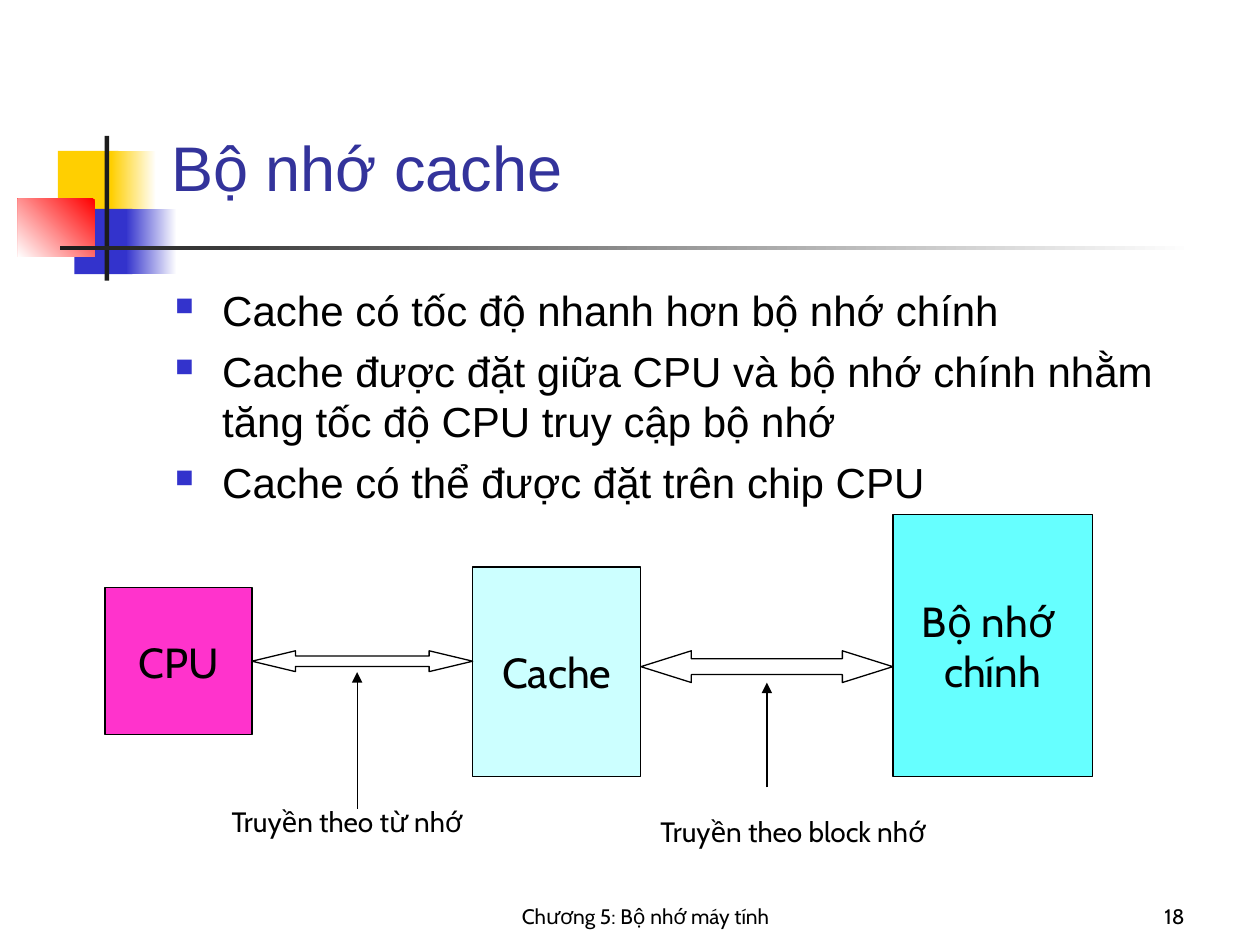
import pptx
import pptx.dml.color
import pptx.enum.shapes
import pptx.enum.text
import pptx.oxml
import pptx.oxml.ns
import pptx.util

Cm = pptx.util.Cm
Pt = pptx.util.Pt
RGBColor = pptx.dml.color.RGBColor
SHAPES = pptx.enum.shapes.MSO_SHAPE
ALIGN = pptx.enum.text.PP_ALIGN
ANCHOR = pptx.enum.text.MSO_ANCHOR

BLACK = RGBColor(0x00, 0x00, 0x00)
WHITE = RGBColor(0xFF, 0xFF, 0xFF)
YELLOW = RGBColor(0xFF, 0xCF, 0x01)
BLUE = RGBColor(0x33, 0x33, 0xCC)
RED = RGBColor(0xFF, 0x00, 0x00)
CHARCOAL = RGBColor(0x1C, 0x1C, 0x1C)
TITLE_BLUE = RGBColor(0x33, 0x33, 0x9B)
MAGENTA = RGBColor(0xFF, 0x33, 0xCC)
PALE_CYAN = RGBColor(0xCC, 0xFF, 0xFF)
CYAN = RGBColor(0x66, 0xFF, 0xFF)

TITLE_FONT = {"name": "Arial", "size": Pt(36), "color": TITLE_BLUE}
BODY_FONT = {"name": "Arial", "size": Pt(24), "color": BLACK}
BLOCK_FONT = {"name": "Cabin", "size": Pt(24), "color": BLACK}
LABEL_FONT = {"name": "Cabin", "size": Pt(16), "color": BLACK}
FOOTER_FONT = {"name": "Cabin", "size": Pt(12), "color": BLACK}


def set_attributes(target, values):
    for name, value in values.items():
        setattr(target, name, value)


def write_text(shape, lines, font, align=ALIGN.LEFT, anchor=ANCHOR.TOP, wrap=True):
    frame = shape.text_frame
    set_attributes(frame, {"word_wrap": wrap, "vertical_anchor": anchor})
    for index, line in enumerate(lines):
        paragraph = frame.paragraphs[0] if index == 0 else frame.add_paragraph()
        paragraph.alignment = align
        run = paragraph.add_run()
        run.text = line
        set_attributes(run.font, {"name": font["name"], "size": font["size"]})
        run.font.color.rgb = font["color"]


def add_text(slide, box, lines, font, **layout):
    shape = slide.shapes.add_textbox(*map(Cm, box))
    write_text(shape, lines, font, **layout)
    return shape


def add_shape(slide, kind, box, fill, outlined=True):
    shape = slide.shapes.add_shape(kind, *map(Cm, box))
    shape.shadow.inherit = False
    shape.fill.solid()
    shape.fill.fore_color.rgb = fill
    if outlined:
        shape.line.color.rgb = BLACK
        shape.line.width = Pt(0.75)
    else:
        shape.line.fill.background()
    return shape


def add_decoration(slide, left, top):
    # Each part: box, solid colour, or first colour, last colour and angle
    parts = [
        ((0.81, 0.30, 1.22, 1.32), [YELLOW]),
        ((1.88, 0.30, 0.91, 1.32), [WHITE, YELLOW, 180]),
        ((1.14, 1.47, 1.17, 1.32), [BLUE]),
        ((2.18, 1.47, 1.02, 1.32), [WHITE, BLUE, 180]),
        ((0, 1.27, 1.55, 1.17), [RED, WHITE, 225]),
        ((1.75, 0, 0.09, 2.92), [CHARCOAL]),
        ((0.86, 2.21, 22.86, 0.09), [WHITE, CHARCOAL, 180]),
    ]
    for (x, y, width, height), paint in parts:
        box = (left + x, top + y, width, height)
        shape = add_shape(slide, SHAPES.RECTANGLE, box, paint[0], outlined=False)
        if len(paint) == 3:
            shape.fill.gradient()
            shape.fill.gradient_angle = paint[2]
            for stop, color in zip(shape.fill.gradient_stops, paint):
                stop.color.rgb = color


def add_bullets(slide, box, lines):
    shape = add_text(slide, box, lines, BODY_FONT)
    namespace = pptx.oxml.ns.nsdecls("a")
    for paragraph in shape.text_frame.paragraphs:
        paragraph.space_before = Pt(6)
        properties = paragraph._p.get_or_add_pPr()
        properties.set("marL", str(Cm(0.95)))
        properties.set("indent", str(-Cm(0.95)))
        for bullet in (
            f'<a:buClr {namespace}><a:srgbClr val="{BLUE}"/></a:buClr>',
            f'<a:buSzPct {namespace} val="60000"/>',
            f'<a:buChar {namespace} char="■"/>',
        ):
            properties.append(pptx.oxml.parse_xml(bullet))


def add_pointer(slide, x, start, end):
    connector = slide.shapes.add_connector(
        pptx.enum.shapes.MSO_CONNECTOR.STRAIGHT, Cm(x), Cm(start), Cm(x), Cm(end))
    connector.line.color.rgb = BLACK
    connector.line.width = Pt(0.75)
    namespace = pptx.oxml.ns.nsdecls("a")
    connector.line._get_or_add_ln().append(
        pptx.oxml.parse_xml(f'<a:tailEnd {namespace} type="triangle"/>'))
    connector._element.spPr.append(pptx.oxml.parse_xml(f"<a:effectLst {namespace}/>"))


def add_cache_diagram(slide, left, top):
    # Memory blocks
    blocks = [
        ((0, 1.48, 2.96, 2.96), MAGENTA, ["CPU"]),
        ((7.41, 1.06, 3.39, 4.23), PALE_CYAN, ["Cache"]),
        ((15.88, 0, 4.02, 5.29), CYAN, ["Bộ nhớ ", "chính"]),
    ]
    for (x, y, width, height), fill, lines in blocks:
        box = (left + x, top + y, width, height)
        shape = add_shape(slide, SHAPES.RECTANGLE, box, fill)
        write_text(shape, lines, BLOCK_FONT, ALIGN.CENTER, ANCHOR.MIDDLE, wrap=False)

    # Two-way transfers between neighbouring blocks
    for x, width, height, head in ((2.96, 4.45, 0.42, 2.09), (10.8, 5.08, 0.64, 1.59)):
        box = (left + x, top + 2.75, width, height)
        arrow = add_shape(slide, SHAPES.LEFT_RIGHT_ARROW, box, WHITE)
        arrow.adjustments[0] = 0.5
        arrow.adjustments[1] = head

    # Pointers and their captions
    for x, start, end in ((5.08, 5.93, 3.18), (13.34, 5.5, 3.39)):
        add_pointer(slide, left + x, top + start, top + end)
    for x, y, width, caption in (
        (1.91, 5.72, 5.93, "Truyền theo từ nhớ"),
        (10.16, 5.93, 7.41, "Truyền theo block nhớ"),
    ):
        add_text(slide, (left + x, top + y, width, 0.94), [caption], LABEL_FONT,
                 align=ALIGN.CENTER)


def add_footer(slide, left, top):
    for x, width, text, align in (
        (0, 15.45, "Chương 5: Bộ nhớ máy tính", ALIGN.CENTER),
        (15.88, 2.96, "18", ALIGN.RIGHT),
    ):
        add_text(slide, (left + x, top, width, 1.27), [text], FOOTER_FONT,
                 align=align, anchor=ANCHOR.BOTTOM)


def main():
    presentation = pptx.Presentation()
    set_attributes(presentation, {"slide_width": Cm(25.4), "slide_height": Cm(19.05)})
    slide = presentation.slides.add_slide(presentation.slide_layouts[6])
    add_decoration(slide, 0.36, 2.74)
    add_text(slide, (3.2, 2.54, 21.64, 1.7), ["Bộ nhớ cache"], TITLE_FONT,
             anchor=ANCHOR.BOTTOM)
    add_bullets(slide, (3.28, 5.61, 21.59, 5.18), [
        "Cache có tốc độ nhanh hơn bộ nhớ chính",
        "Cache được đặt giữa CPU và bộ nhớ chính nhằm tăng tốc độ CPU truy cập bộ nhớ",
        "Cache có thể được đặt trên chip CPU",
    ])
    add_cache_diagram(slide, 2.12, 10.37)
    add_footer(slide, 5.29, 17.57)
    presentation.save("out.pptx")


if __name__ == "__main__":
    main()
